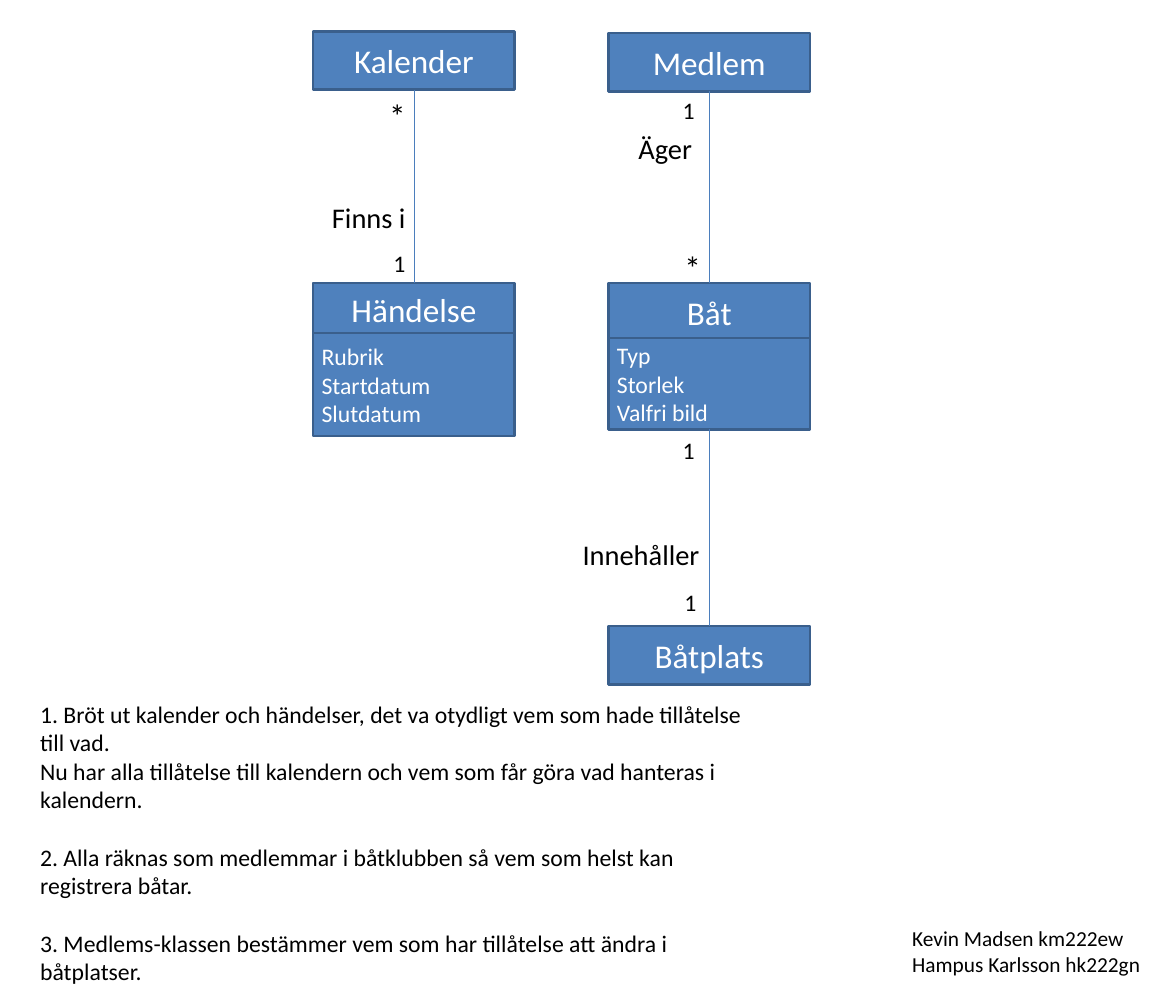
import dataclasses

import lxml.etree
import pptx
import pptx.dml.color
import pptx.enum.shapes
import pptx.enum.text
import pptx.oxml.ns
import pptx.util

Cm = pptx.util.Cm
Anchor = pptx.enum.text.MSO_ANCHOR
Align = pptx.enum.text.PP_ALIGN


@dataclasses.dataclass(frozen=True)
class Theme:
    font: str = "Calibri"
    fill: str = "4F81BD"
    border: str = "3A5F8C"
    connector: str = "4B7EBC"
    light: str = "FFFFFF"
    dark: str = "000000"
    class_size: int = 28
    label_size: int = 24
    body_size: int = 20
    credit_size: int = 18


@dataclasses.dataclass(frozen=True)
class Box:
    left: float
    top: float
    width: float
    height: float

    def lengths(self):
        return Cm(self.left), Cm(self.top), Cm(self.width), Cm(self.height)


THEME = Theme()
CLASS_WIDTH = 6
CLASS_HEIGHT = 1.73
LEFT_COLUMN = 9.32
RIGHT_COLUMN = 18.11
SECOND_ROW = 8.43

NOTES = [
    "1. Bröt ut kalender och händelser, det va otydligt vem som hade tillåtelse till vad.",
    "Nu har alla tillåtelse till kalendern och vem som får göra vad hanteras i kalendern.",
    "2. Alla räknas som medlemmar i båtklubben så vem som helst kan registrera båtar.",
    "3. Medlems-klassen bestämmer vem som har tillåtelse att ändra i båtplatser.",
]
CREDITS = ["Kevin Madsen km222ew", "Hampus Karlsson hk222gn"]


def rgb(value):
    return pptx.dml.color.RGBColor.from_string(value)


def write_text(frame, lines, *, size, color=THEME.dark, align=Align.LEFT,
               anchor=Anchor.TOP, gaps=None):
    frame.word_wrap = True
    frame.auto_size = pptx.enum.text.MSO_AUTO_SIZE.NONE
    frame.vertical_anchor = anchor
    for index, line in enumerate(lines):
        para = frame.paragraphs[0] if index == 0 else frame.add_paragraph()
        para.alignment = align
        para.space_before = pptx.util.Pt(gaps[index] if gaps else 0)
        span = para.add_run()
        span.text = line
        span.font.name = THEME.font
        span.font.size = pptx.util.Pt(size)
        span.font.color.rgb = rgb(color)


def add_panel(page, box, lines, **text_format):
    panel = page.shapes.add_shape(
        pptx.enum.shapes.MSO_SHAPE.RECTANGLE, *box.lengths())
    panel.shadow.inherit = False
    panel.fill.solid()
    panel.fill.fore_color.rgb = rgb(THEME.fill)
    panel.line.color.rgb = rgb(THEME.border)
    panel.line.width = pptx.util.Pt(2)
    write_text(panel.text_frame, lines, color=THEME.light,
               anchor=Anchor.MIDDLE, **text_format)
    return panel


def add_class(page, box, name, attributes=(), attributes_top=0):
    header = add_panel(page, box, [name], size=THEME.class_size, align=Align.CENTER)
    if not attributes:
        return header, header
    height = 2.72 if name == "Båt" else 3.07
    details = Box(box.left, box.top + attributes_top, box.width, height)
    return header, add_panel(page, details, attributes, size=THEME.body_size)


def add_label(page, box, lines, size):
    label = page.shapes.add_textbox(*box.lengths())
    write_text(label.text_frame, lines, size=size)


def add_association(page, upper, lower, labels):
    line = page.shapes.add_connector(
        pptx.enum.shapes.MSO_CONNECTOR.STRAIGHT, 0, 0, 0, 0)
    line.begin_connect(upper, 2)
    line.end_connect(lower, 0)
    line.line.color.rgb = rgb(THEME.connector)
    line.line.width = pptx.util.Pt(0.75)
    lxml.etree.SubElement(line._element.spPr, pptx.oxml.ns.qn("a:effectLst"))
    sizes = {"*": THEME.class_size, "1": THEME.body_size}
    for word, offset_left, offset_top, width in labels:
        box = Box(line.begin_x.cm + offset_left, line.begin_y.cm + offset_top, width, 1.3)
        add_label(page, box, [word], sizes.get(word, THEME.label_size))


def add_diagram(page, box):
    def class_box(column, row, height=CLASS_HEIGHT):
        return Box(box.left + column, box.top + row, CLASS_WIDTH, height)

    right = RIGHT_COLUMN - LEFT_COLUMN
    second = SECOND_ROW - box.top
    calendar, _ = add_class(page, class_box(0, 0), "Kalender")
    member, _ = add_class(page, class_box(right, 0.05), "Medlem")
    event, _ = add_class(page, class_box(0, second, 1.55), "Händelse",
                         ["Rubrik", "Startdatum", "Slutdatum"], 1.48)
    boat, boat_details = add_class(page, class_box(right, second), "Båt",
                                   ["Typ", "Storlek", "Valfri bild"], 1.63)
    berth, _ = add_class(page, class_box(right, 17.7), "Båtplats")

    add_association(page, calendar, event, [
        ("*", -0.99, 0.05, 0.82), ("Finns i", -2.69, 3.15, 3.43), ("1", -0.86, 4.62, 0.84)])
    add_association(page, member, boat, [
        ("1", -1.04, 0, 0.84), ("Äger", -2.36, 1.06, 2.77), ("*", -0.99, 4.52, 0.82)])
    add_association(page, boat_details, berth, [
        ("1", -1.04, 0.07, 0.84), ("Innehåller", -4.02, 3.07, 4.95), ("1", -0.99, 4.59, 0.84)])


def add_notes(page, box):
    body = page.placeholders[1]
    body.left, body.top, body.width, body.height = box.lengths()
    write_text(body.text_frame, NOTES, size=THEME.body_size, gaps=[0, 0, 24.4, 24.4])
    for para in body.text_frame.paragraphs:
        properties = para._p.get_or_add_pPr()
        properties.set("marL", "0")
        properties.set("indent", "0")
        lxml.etree.SubElement(properties, pptx.oxml.ns.qn("a:buNone"))


def main():
    deck = pptx.Presentation()
    deck.slide_width, deck.slide_height = Cm(35), Cm(30)
    page = deck.slides.add_slide(deck.slide_layouts[1])
    title = page.shapes.title._element
    title.getparent().remove(title)
    add_diagram(page, Box(LEFT_COLUMN, 0.94, 14.79, 19.43))
    add_notes(page, Box(0.94, 20.7, 21.59, 8.81))
    add_label(page, Box(26.9, 27.41, 7.57, 1.8), CREDITS, THEME.credit_size)
    deck.save("out.pptx")


if __name__ == "__main__":
    main()
